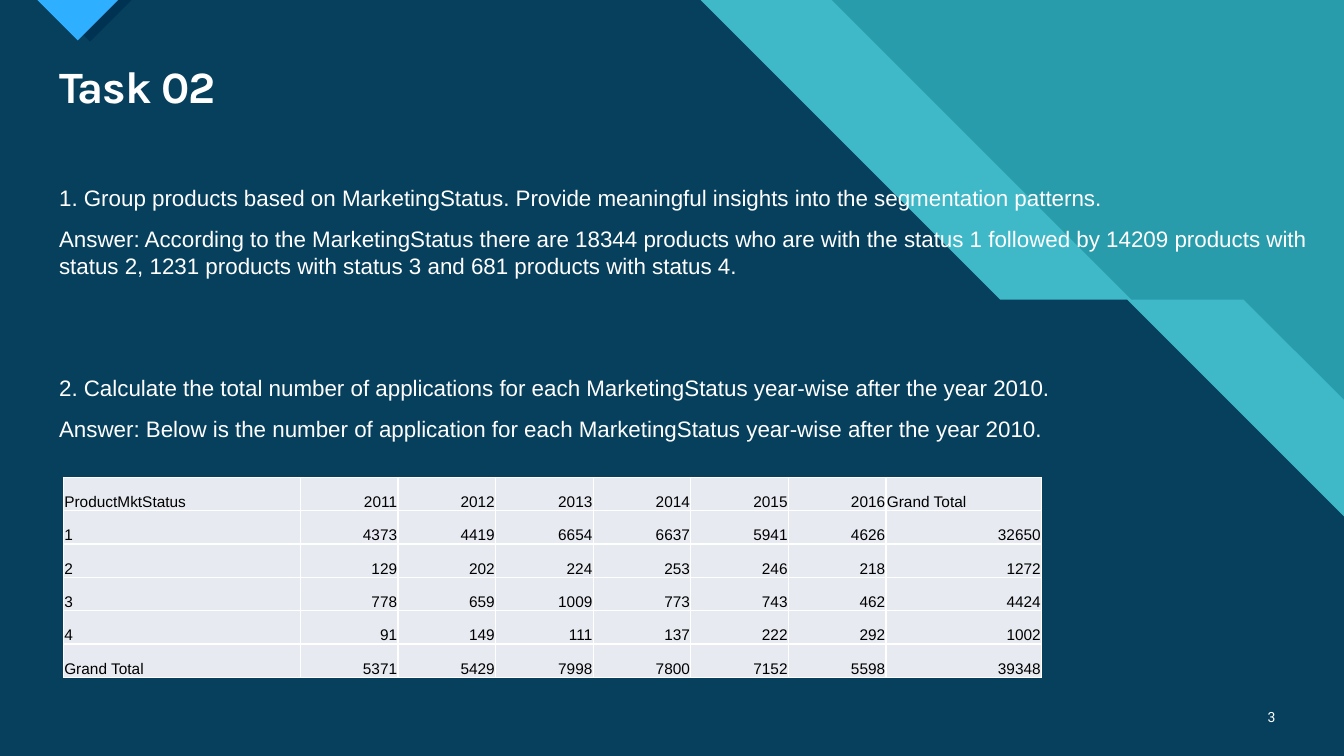
from dataclasses import dataclass
from lxml.etree import SubElement
from pptx import Presentation
from pptx.dml.color import RGBColor
from pptx.enum.text import MSO_ANCHOR, PP_ALIGN
from pptx.oxml import parse_xml
from pptx.oxml.ns import nsdecls, qn
from pptx.util import Cm, Pt


@dataclass(frozen=True)
class Theme:
    teal: str = "299CAB"
    aqua: str = "47C3D3"
    navy: str = "003352"
    blue: str = "2FAFFF"
    cell: str = "E7EAF0"
    white: str = "FFFFFF"
    black: str = "000000"
    title_font: str = "Karla"
    body_font: str = "Arial"
    number_font: str = "Roboto"
    title_size: int = 32
    body_size: int = 16
    table_size: int = 11
    number_size: int = 10


THEME = Theme()
TITLE = "Task 02"
PAGE_NUMBER = "3"
BODY = [
    ("1. Group products based on MarketingStatus. Provide meaningful insights into the segmentation patterns.", 6),
    ("Answer: According to the MarketingStatus there are 18344 products who are with the status 1 followed by "
     "14209 products with status 2, 1231 products with status 3 and 681 products with status 4.", 6),
    ("2. Calculate the total number of applications for each MarketingStatus year-wise after the year 2010.", 64),
    ("Answer: Below is the number of application for each MarketingStatus year-wise after the year 2010.", 6),
]
ROWS = [
    ("ProductMktStatus", 2011, 2012, 2013, 2014, 2015, 2016, "Grand Total"),
    ("1", 4373, 4419, 6654, 6637, 5941, 4626, 32650),
    ("2", 129, 202, 224, 253, 246, 218, 1272),
    ("3", 778, 659, 1009, 773, 743, 462, 4424),
    ("4", 91, 149, 111, 137, 222, 292, 1002),
    ("Grand Total", 5371, 5429, 7998, 7800, 7152, 5598, 39348),
]
WIDTH, HEIGHT = 33.87, 19.05
STEP_DEPTH = 7.55
COLUMN_WIDTHS = [5.97] + [2.46] * 6 + [3.92]
ROW_HEIGHT = 0.84


def rgb(code):
    return RGBColor.from_string(code)


def add_outline(s, points, color, opacity=100):
    start, *rest = [(Cm(x), Cm(y)) for x, y in points]
    builder = s.shapes.build_freeform(*start)
    builder.add_line_segments(rest, close=True)
    sp = builder.convert_to_shape()
    sp.shadow.inherit = False
    sp.line.fill.background()
    sp.fill.solid()
    sp.fill.fore_color.rgb = rgb(color)
    if opacity < 100:
        clr = sp.fill._xPr.find(".//" + qn("a:srgbClr"))
        SubElement(clr, qn("a:alpha"), val=str(opacity * 1000))


def add_stepped_panel(s, top_edge, ledge, color, opacity):
    ledge_start = top_edge + STEP_DEPTH
    ledge_end = ledge_start + ledge
    right_y = STEP_DEPTH + WIDTH - ledge_end
    points = [(0, 0), (top_edge, 0), (ledge_start, STEP_DEPTH), (ledge_end, STEP_DEPTH),
              (WIDTH, right_y), (WIDTH, HEIGHT), (0, HEIGHT)]
    add_outline(s, points, color, opacity)


def add_marker(s, left, right, color):
    half = (right - left) / 2
    add_outline(s, [(left, 0), (right, 0), (left + half, half)], color)


def style(p, font, size, color, align=PP_ALIGN.LEFT):
    p.alignment = align
    p.font.name = font
    p.font.size = Pt(size)
    p.font.color.rgb = rgb(color)


def add_text(s, left, top, width, height):
    tf = s.shapes.add_textbox(Cm(left), Cm(top), Cm(width), Cm(height)).text_frame
    tf.word_wrap = True
    return tf


def add_title(s):
    p = add_text(s, 1.24, 1.5, 31.14, 1.5).paragraphs[0]
    r = p.add_run()
    r.text = TITLE
    r.font._element.set("spc", "-70")
    style(p, THEME.title_font, THEME.title_size, THEME.white)
    p.font.bold = True
    p.line_spacing = 0.9


def add_body(s):
    tf = add_text(s, 1.24, 4.52, 32, 14.05)
    for i, (text, gap) in enumerate(BODY):
        p = tf.add_paragraph() if i else tf.paragraphs[0]
        p.text = text
        p.space_before, p.space_after = Pt(gap), Pt(4)
        style(p, THEME.body_font, THEME.body_size, THEME.white)


def add_page_number(s):
    tf = add_text(s, 31.27, 17.55, 1.12, 1.02)
    tf.vertical_anchor = MSO_ANCHOR.MIDDLE
    p = tf.paragraphs[0]
    p.text = PAGE_NUMBER
    style(p, THEME.number_font, THEME.number_size, THEME.white, PP_ALIGN.RIGHT)


def style_cell(cell, value):
    cell.margin_left = cell.margin_right = cell.margin_top = Cm(0.02)
    cell.margin_bottom = Cm(0)
    cell.vertical_anchor = MSO_ANCHOR.BOTTOM
    cell.fill.solid()
    cell.fill.fore_color.rgb = rgb(THEME.cell)
    tc_pr = cell._tc.get_or_add_tcPr()
    for i, side in enumerate(("lnL", "lnR", "lnT", "lnB")):
        tc_pr.insert(i, parse_xml(
            f'<a:{side} {nsdecls("a")} w="{Pt(1)}"><a:solidFill>'
            f'<a:srgbClr val="{THEME.white}"/></a:solidFill></a:{side}>'))
    p = cell.text_frame.paragraphs[0]
    p.text = str(value)
    align = PP_ALIGN.RIGHT if isinstance(value, int) else PP_ALIGN.LEFT
    style(p, THEME.body_font, THEME.table_size, THEME.black, align)


def add_status_table(s):
    table = s.shapes.add_table(
        len(ROWS), len(COLUMN_WIDTHS), Cm(1.6), Cm(12.03),
        Cm(sum(COLUMN_WIDTHS)), Cm(ROW_HEIGHT * len(ROWS))).table
    table.first_row = table.horz_banding = False
    for column, width in zip(table.columns, COLUMN_WIDTHS):
        column.width = Cm(width)
    for row, values in zip(table.rows, ROWS):
        row.height = Cm(ROW_HEIGHT)
        for cell, value in zip(row.cells, values):
            style_cell(cell, value)


def main():
    prs = Presentation()
    prs.slide_width, prs.slide_height = Cm(WIDTH), Cm(HEIGHT)
    s = prs.slides.add_slide(prs.slide_layouts[6])
    s.background.fill.solid()
    s.background.fill.fore_color.rgb = rgb(THEME.teal)
    add_stepped_panel(s, 20.96, 2.83, THEME.aqua, 74)
    add_stepped_panel(s, 17.65, 3.2, THEME.navy, 90)
    add_marker(s, 1.22, 3.32, THEME.navy)
    add_marker(s, 0.94, 2.98, THEME.blue)
    add_title(s)
    add_body(s)
    add_page_number(s)
    add_status_table(s)
    prs.save("out.pptx")


if __name__ == "__main__":
    main()
